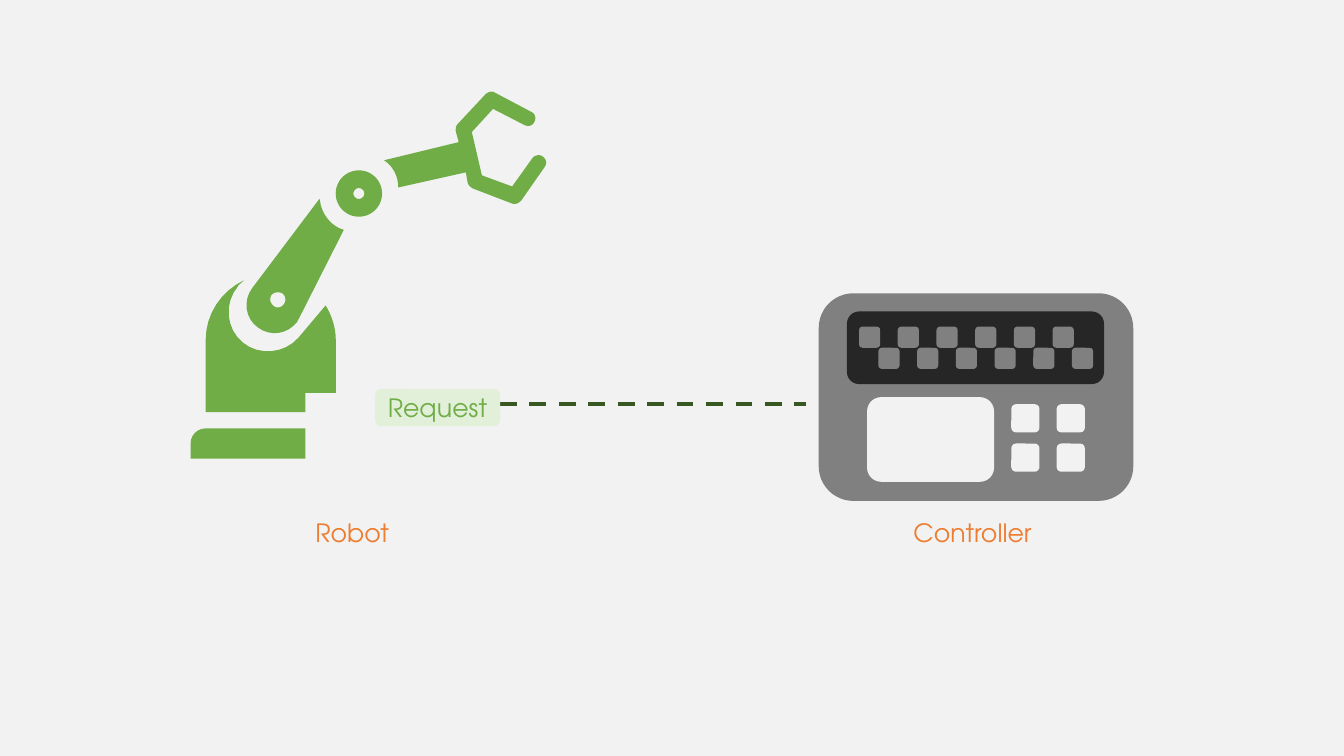
from dataclasses import dataclass

from lxml.etree import SubElement
from pptx import Presentation
from pptx.dml.color import RGBColor
from pptx.enum.dml import MSO_LINE
from pptx.enum.shapes import MSO_CONNECTOR, MSO_SHAPE
from pptx.enum.text import MSO_ANCHOR, PP_ALIGN
from pptx.oxml.ns import qn
from pptx.util import Inches, Pt


@dataclass(frozen=True)
class Theme:
    font: str = "TeX Gyre Adventor"
    label_size: int = 18
    signal_width: int = 3
    paper: str = "F2F2F2"
    robot: str = "70AD47"
    request: str = "E2F0D9"
    signal: str = "385723"
    casing: str = "808080"
    display: str = "262626"
    caption: str = "ED7D31"


THEME = Theme()

# Outlines in inches from the robot's corner: (x, y) is a line, six numbers a Bézier curve.
GRIPPER = [
    (3.11, 0.02), (3.08, 0, 3.05, 0.01, 3.02, 0.03), (2.74, 0.33),
    (2.72, 0.35, 2.72, 0.38, 2.72, 0.4), (2.75, 0.51), (2.01, 0.69),
    (2.1, 0.75, 2.15, 0.85, 2.15, 0.96), (2.82, 0.81), (2.84, 0.92),
    (2.85, 0.94, 2.87, 0.96, 2.89, 0.97), (3.28, 1.12),
    (3.31, 1.13, 3.34, 1.12, 3.37, 1.09), (3.6, 0.76),
    (3.63, 0.72, 3.62, 0.68, 3.58, 0.65), (3.55, 0.63, 3.5, 0.64, 3.48, 0.67),
    (3.28, 0.95), (2.98, 0.84), (2.88, 0.41), (3.09, 0.18), (3.4, 0.34),
    (3.44, 0.36, 3.48, 0.35, 3.5, 0.31), (3.52, 0.27, 3.51, 0.23, 3.47, 0.21),
]
SHOULDER = [
    (1.53, 2.47), (1.53, 2.35, 1.49, 2.23, 1.43, 2.13), (1.16, 2.45),
    (1.02, 2.61, 0.77, 2.63, 0.61, 2.5), (0.44, 2.36, 0.42, 2.11, 0.56, 1.94),
    (0.57, 1.92, 0.59, 1.91, 0.61, 1.89), (0.62, 1.88),
    (0.39, 1.99, 0.24, 2.22, 0.24, 2.47), (0.24, 3.19), (1.53, 3.19),
]
UPPER_ARM = [
    (1.38, 1.13), (1.38, 1.11, 1.37, 1.09, 1.37, 1.07), (0.7, 1.96),
    (0.61, 2.08, 0.63, 2.26, 0.76, 2.35), (0.88, 2.44, 1.05, 2.42, 1.15, 2.29),
    (1.15, 2.28, 1.16, 2.27, 1.17, 2.25), (1.61, 1.38),
    (1.5, 1.35, 1.41, 1.25, 1.38, 1.13),
]
ARM_PIVOT = [
    (1.02, 2.11), (1, 2.15, 0.95, 2.16, 0.92, 2.14),
    (0.88, 2.11, 0.87, 2.07, 0.89, 2.03), (0.91, 2, 0.96, 1.99, 1, 2.01),
    (1.03, 2.03, 1.04, 2.08, 1.02, 2.11),
]


def paint(shape, color):
    shape.shadow.inherit = False
    shape.fill.solid()
    shape.fill.fore_color.rgb = RGBColor.from_string(color)
    shape.line.fill.background()
    return shape


def add_block(shapes, left, top, width, height, color, kind=MSO_SHAPE.ROUNDED_RECTANGLE):
    box = [Inches(length) for length in (left, top, width, height)]
    return paint(shapes.add_shape(kind, *box), color)


def write(shape, text, *, color, align=PP_ALIGN.LEFT, spacing=1.0):
    frame = shape.text_frame
    frame.word_wrap = True
    frame.vertical_anchor = MSO_ANCHOR.MIDDLE
    paragraph = frame.paragraphs[0]
    paragraph.text = text
    paragraph.alignment = align
    paragraph.line_spacing = spacing
    paragraph.font.name = THEME.font
    paragraph.font.size = Pt(THEME.label_size)
    paragraph.font.color.rgb = RGBColor.from_string(color)


def flatten(outline, steps=8):
    """Return the outline's points, with each curve cut into short lines."""
    points = [outline[0]]
    for segment in outline[1:]:
        if len(segment) == 2:
            points.append(segment)
            continue
        controls = [points[-1], segment[:2], segment[2:4], segment[4:]]
        for step in range(1, steps + 1):
            t = step / steps
            weights = ((1 - t) ** 3, 3 * t * (1 - t) ** 2, 3 * t * t * (1 - t), t ** 3)
            points.append(tuple(
                sum(weight * control[axis] for weight, control in zip(weights, controls))
                for axis in (0, 1)))
    return points


def add_outline(shapes, left, top, outlines, color):
    """Draw one shape from closed outlines; those after the first are holes."""
    contours = [[(Inches(left + x), Inches(top + y)) for x, y in flatten(outline)]
                for outline in outlines]
    builder = shapes.build_freeform(*contours[0][0], scale=1.0)
    for index, contour in enumerate(contours):
        if index:
            builder.move_to(*contour[0])
        builder.add_line_segments(contour[1:], close=True)
    return paint(builder.convert_to_shape(), color)


def add_robot(shapes, left, top):
    for outlines in ([GRIPPER], [SHOULDER], [UPPER_ARM, ARM_PIVOT]):
        add_outline(shapes, left, top, outlines, THEME.robot)
    foot = add_block(shapes, left + 0.09, top + 3.35, 1.6, 0.3, THEME.robot,
                     MSO_SHAPE.ROUND_2_SAME_RECTANGLE)
    foot.adjustments[0] = 0.5
    elbow = add_block(shapes, left + 1.53, top + 0.79, 0.46, 0.46, THEME.robot,
                      MSO_SHAPE.DONUT)
    elbow.adjustments[0] = 0.38
    add_block(shapes, left + 1.23, top + 3, 0.63, 0.87, THEME.paper, MSO_SHAPE.RECTANGLE)


def add_controller(shapes, left, top, width, height):
    parts = shapes.add_group_shape().shapes
    add_block(parts, left, top, width, height, THEME.casing)
    add_block(parts, left + 0.28, top + 0.18, width - 0.57, 0.72, THEME.display)
    key = 0.21
    for index in range(12):
        add_block(parts, left + 0.4 + 0.192 * index, top + 0.33 + key * (index % 2),
                  key, key, THEME.casing)
    add_block(parts, left + 0.48, top + 1.03, 1.26, 0.84, THEME.paper)
    for row in range(2):
        for column in range(2):
            add_block(parts, left + 1.91 + 0.45 * column, top + 1.1 + 0.39 * row,
                      0.28, 0.28, THEME.paper)


def add_request(shapes, left, top, width, height, reach):
    """Draw the request tag and its dashed signal, which ends at reach."""
    level = Inches(top + 0.15)
    signal = shapes.add_connector(MSO_CONNECTOR.STRAIGHT, Inches(left + 0.07), level,
                                  Inches(reach), level)
    signal.line.color.rgb = RGBColor.from_string(THEME.signal)
    signal.line.width = Pt(THEME.signal_width)
    signal.line.dash_style = MSO_LINE.DASH
    SubElement(signal._element.spPr, qn("a:effectLst"))
    tag = add_block(shapes, left, top, width, height, THEME.request)
    write(tag, "Request", color=THEME.robot, align=PP_ALIGN.CENTER)


def add_caption(shapes, text, left, top, width, height):
    caption = shapes.add_textbox(Inches(left), Inches(top), Inches(width), Inches(height))
    write(caption, text, color=THEME.caption, spacing=0.9)


def main():
    deck = Presentation()
    deck.slide_width, deck.slide_height = Inches(13.33), Inches(7.5)
    slide = deck.slides.add_slide(deck.slide_layouts[6])
    slide.background.fill.solid()
    slide.background.fill.fore_color.rgb = RGBColor.from_string(THEME.paper)
    add_robot(slide.shapes, 1.8, 0.9)
    add_controller(slide.shapes, 8.12, 2.91, 3.12, 2.06)
    add_caption(slide.shapes, "Robot", 3.03, 4.97, 0.99, 0.66)
    add_caption(slide.shapes, "Controller", 8.96, 4.97, 1.44, 0.66)
    add_request(slide.shapes, 3.72, 3.86, 1.24, 0.37, reach=7.99)
    deck.save("out.pptx")


if __name__ == "__main__":
    main()
